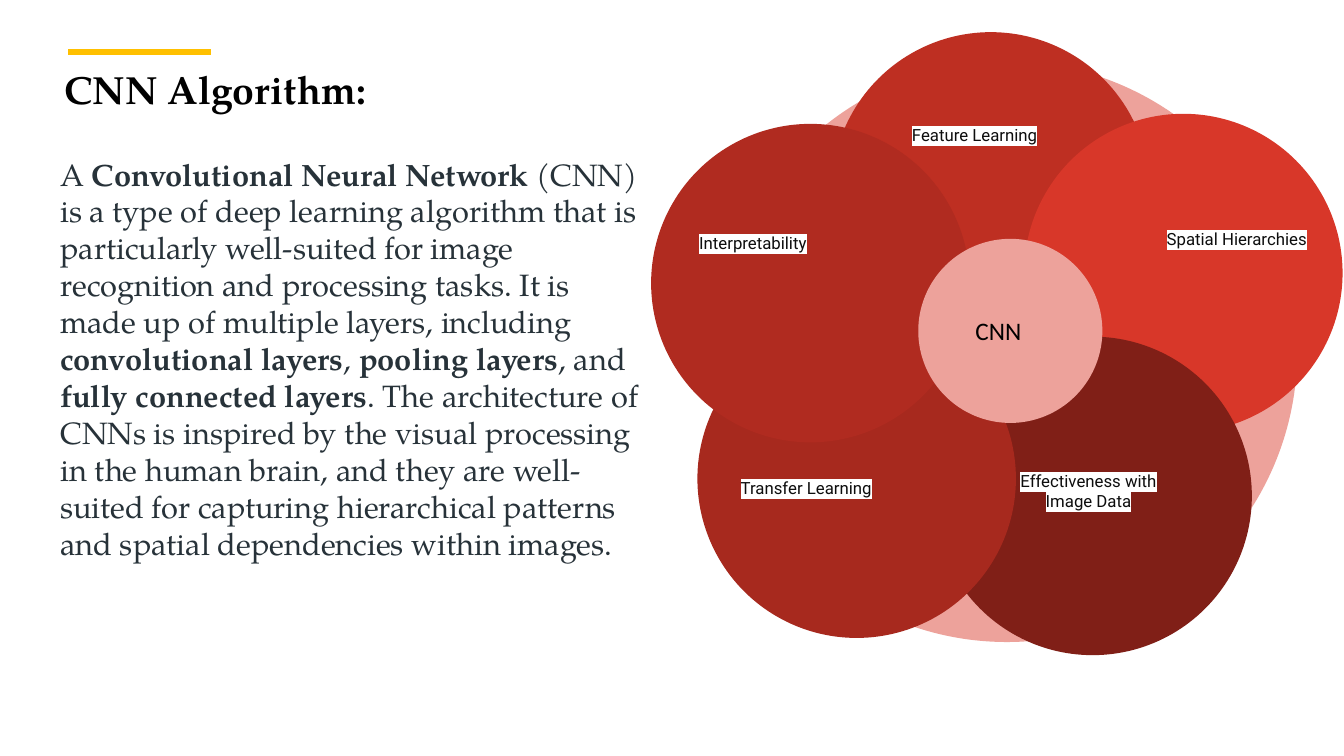
from dataclasses import dataclass

from lxml import etree
from pptx import Presentation
from pptx.dml.color import RGBColor
from pptx.enum.shapes import MSO_CONNECTOR, MSO_SHAPE
from pptx.enum.text import MSO_ANCHOR, PP_ALIGN
from pptx.oxml.ns import qn
from pptx.util import Pt

OVAL = MSO_SHAPE.OVAL
STRAIGHT = MSO_CONNECTOR.STRAIGHT
MIDDLE = MSO_ANCHOR.MIDDLE
LEFT, CENTER = PP_ALIGN.LEFT, PP_ALIGN.CENTER


@dataclass(frozen=True)
class Theme:
    """Colours, fonts and type sizes of the slide."""
    serif: str = "TeX Gyre Pagella"
    label_font: str = "Roboto"
    hub_font: str = "Calibri"
    title_size: float = 28
    body_size: float = 22
    hub_size: float = 18
    label_size: float = 12
    black: str = "000000"
    body_color: str = "273239"
    label_color: str = "0D0D0D"
    highlight: str = "FFFFFF"
    accent: str = "FFC000"
    pale: str = "EDA29B"


THEME = Theme()

BODY = [
    ("A ", False),
    ("Convolutional Neural Network", True),
    (" (CNN) is a type of deep learning algorithm that is particularly well-suited for "
     "image recognition and processing tasks. It is made up of multiple layers, including ", False),
    ("convolutional layers", True),
    (", ", False),
    ("pooling layers", True),
    (", and ", False),
    ("fully connected layers", True),
    (". The architecture of CNNs is inspired by the visual processing in the human brain, "
     "and they are well-suited for capturing hierarchical patterns and spatial dependencies "
     "within images.", False),
]

PETALS = [
    ("Feature Learning", "BE2F22", (82.1, -20.9), (32.4, 38.9)),
    ("Spatial Hierarchies", "D83729", (219.6, 37.4), (82.1, 54.7)),
    ("Effectiveness with Image Data", "801F17", (154.8, 196.6), (41, 75.6)),
    ("Transfer Learning", "A7291E", (-13.7, 184.3), (7.9, 85.7)),
    ("Interpretability", "B02B20", (-46.8, 44.6), (2.9, 50.4)),
]


def set_insets(frame, left, top, right, bottom):
    """Set the four inner margins of a text frame and turn wrapping on."""
    frame.word_wrap = True
    frame.margin_left, frame.margin_top = Pt(left), Pt(top)
    frame.margin_right, frame.margin_bottom = Pt(right), Pt(bottom)


def set_font(paragraph, name, size, color, bold=None):
    """Set the font shared by all runs of a paragraph."""
    font = paragraph.font
    font.name, font.size, font.bold = name, Pt(size), bold
    font.color.rgb = RGBColor.from_string(color)


def add_highlighted_run(paragraph, text, bold=None):
    """Add a run with a highlighted background."""
    run = paragraph.add_run()
    run.text = text
    run.font.bold = bold
    highlight = etree.SubElement(run.font._element, qn("a:highlight"))
    etree.SubElement(highlight, qn("a:srgbClr"), val=THEME.highlight)


def add_circle(shapes, left, top, diameter, color):
    """Add a plain filled circle."""
    shape = shapes.add_shape(OVAL, Pt(left), Pt(top), Pt(diameter), Pt(diameter))
    shape.shadow.inherit = False
    shape.fill.solid()
    shape.fill.fore_color.rgb = RGBColor.from_string(color)
    shape.line.fill.background()
    return shape


def add_heading(slide, left, top, width, height):
    """Add the accent rule and the title below it."""
    rule = slide.shapes.add_connector(
        STRAIGHT, Pt(left + 10), Pt(top), Pt(left + 111.6), Pt(top))
    rule.line.color.rgb = RGBColor.from_string(THEME.accent)
    rule.line.width = Pt(4.5)
    etree.SubElement(rule._element.spPr, qn("a:effectLst"))
    box = slide.shapes.add_textbox(Pt(left), Pt(top + 5.8), Pt(width), Pt(height - 5.8))
    set_insets(box.text_frame, 7.2, 3.6, 7.2, 3.6)
    paragraph = box.text_frame.paragraphs[0]
    paragraph.text = "CNN Algorithm:"
    set_font(paragraph, THEME.serif, THEME.title_size, THEME.black, True)


def add_body(slide, left, top, width, height):
    """Add the description with its key terms in bold."""
    box = slide.shapes.add_textbox(Pt(left), Pt(top), Pt(width), Pt(height))
    set_insets(box.text_frame, 7.2, 7.2, 7.2, 7.2)
    paragraph = box.text_frame.paragraphs[0]
    for text, bold in BODY:
        add_highlighted_run(paragraph, text, bold)
    set_font(paragraph, THEME.serif, THEME.body_size, THEME.body_color)


def add_petal(slide, left, top, diameter, text, color, label_offset):
    """Add a grouped circle and its label."""
    group = slide.shapes.add_group_shape()
    add_circle(group.shapes, left, top, diameter, color)
    offset_x, offset_y = label_offset
    label = group.shapes.add_textbox(
        Pt(left + offset_x), Pt(top + offset_y), Pt(139.7), Pt(69.1))
    set_insets(label.text_frame, 9.4, 9.4, 9.4, 9.4)
    label.text_frame.vertical_anchor = MIDDLE
    paragraph = label.text_frame.paragraphs[0]
    paragraph.alignment = CENTER
    add_highlighted_run(paragraph, text)
    set_font(paragraph, THEME.label_font, THEME.label_size, THEME.label_color)


def add_flower(slide, left, top, diameter):
    """Add the halo, the five petals and the hub."""
    add_circle(slide.shapes, left, top, diameter, THEME.pale)
    for text, color, (offset_x, offset_y), label_offset in PETALS:
        add_petal(slide, left + offset_x, top + offset_y, 227.5, text, color, label_offset)
    hub = add_circle(slide.shapes, left + 144, top + 126.7, 131.5, THEME.pale)
    set_insets(hub.text_frame, 21.6, 9.4, 9.4, 9.4)
    hub.text_frame.vertical_anchor = MIDDLE
    paragraph = hub.text_frame.paragraphs[0]
    paragraph.text = "CNN"
    paragraph.alignment = LEFT
    set_font(paragraph, THEME.hub_font, THEME.hub_size, THEME.black)


def main():
    """Build the slide and save it."""
    presentation = Presentation()
    presentation.slide_width, presentation.slide_height = Pt(960), Pt(540)
    slide = presentation.slides.add_slide(presentation.slide_layouts[6])
    add_flower(slide, 511.9, 43.9, 414.7)
    add_heading(slide, 38.9, 37.4, 258.5, 46.8)
    add_body(slide, 36, 103.7, 437, 311.8)
    presentation.save("out.pptx")


if __name__ == "__main__":
    main()
